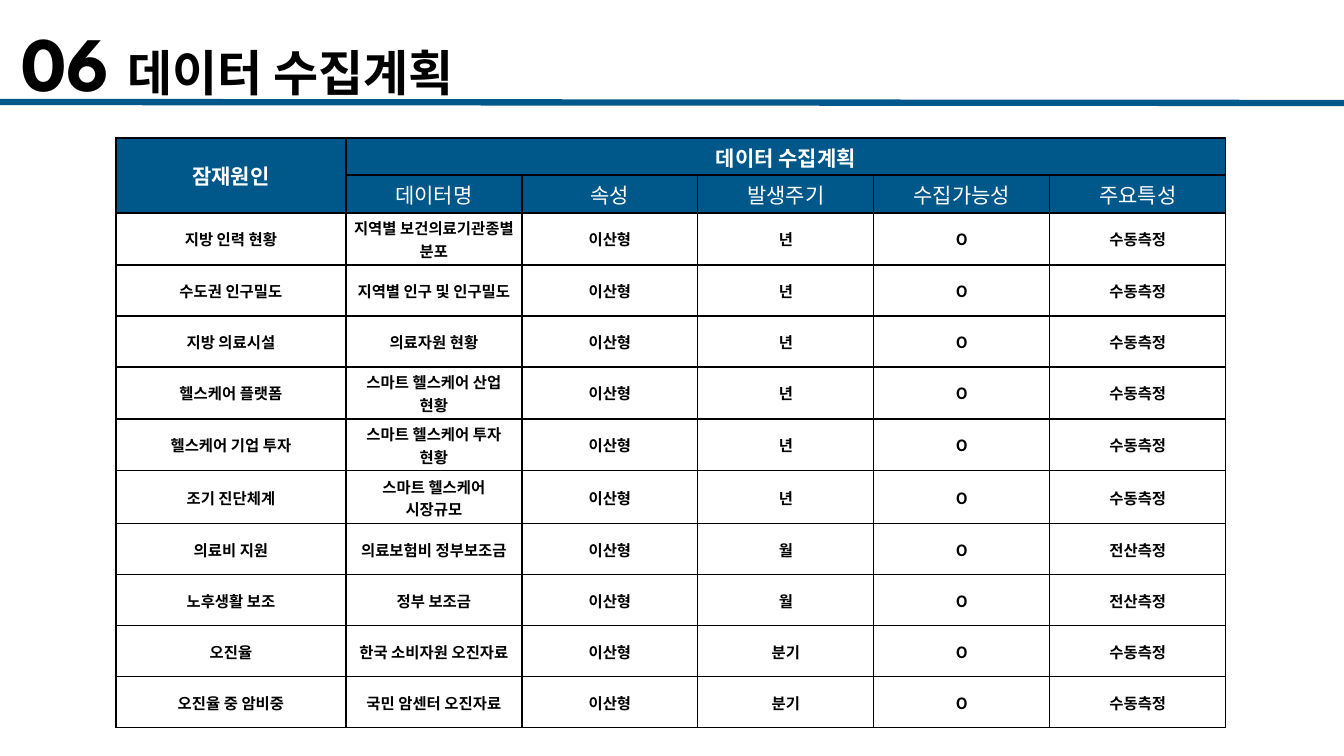
"""Build the data collection plan slide."""
from lxml.etree import SubElement
from pptx import Presentation
from pptx.dml.color import RGBColor
from pptx.enum.shapes import MSO_CONNECTOR
from pptx.enum.text import MSO_ANCHOR, PP_ALIGN
from pptx.oxml import parse_xml
from pptx.oxml.ns import nsdecls, qn
from pptx.util import Emu, Pt

EMU_PER_PX = 914400 / 100.8
BLUE = RGBColor(0x00, 0x58, 0x8A)
BLACK = RGBColor(0, 0, 0)
WHITE = RGBColor(0xFF, 0xFF, 0xFF)
LATIN_TITLE = "League Spartan"
KOREAN = "Noto Sans CJK KR"

COLUMN_WIDTHS = [230] + [176] * 5
ROW_HEIGHTS = [37, 38, 52, 51, 51, 52, 52, 53] + [51] * 4
HEADINGS = ["데이터명", "속성", "발생주기", "수집가능성", "주요특성"]
PLAN = [
    ("지방 인력 현황", "지역별 보건의료기관종별 분포", "년", "수동측정"),
    ("수도권 인구밀도", "지역별 인구 및 인구밀도", "년", "수동측정"),
    ("지방 의료시설", "의료자원 현황", "년", "수동측정"),
    ("헬스케어 플랫폼", "스마트 헬스케어 산업 현황", "년", "수동측정"),
    ("헬스케어 기업 투자", "스마트 헬스케어 투자 현황", "년", "수동측정"),
    ("조기 진단체계", "스마트 헬스케어 시장규모", "년", "수동측정"),
    ("의료비 지원", "의료보험비 정부보조금", "월", "전산측정"),
    ("노후생활 보조", "정부 보조금", "월", "전산측정"),
    ("오진율", "한국 소비자원 오진자료", "분기", "수동측정"),
    ("오진율 중 암비중", "국민 암센터 오진자료", "분기", "수동측정"),
]


def px(length):
    """Turn pixels into EMU."""
    return Emu(round(length * EMU_PER_PX))


def add_span(para, text, size=11, color=BLACK, bold=True, font=KOREAN):
    """Add a formatted run of text, without pair kerning, to a paragraph."""
    span = para.add_run()
    span.text = text
    span.font.size = Pt(size)
    span.font.bold = bold
    span.font.color.rgb = color
    span.font.name = font
    span.font._element.set("kern", "0")
    SubElement(span.font._element, qn("a:ea"), typeface=KOREAN)


def set_margins(target, side, end):
    """Set the text insets of a frame or a cell."""
    target.margin_left = target.margin_right = px(side)
    target.margin_top = target.margin_bottom = px(end)


def add_rule(page):
    """Draw the blue line under the title."""
    rule = page.shapes.add_connector(
        MSO_CONNECTOR.STRAIGHT, 0, px(102), px(1344), px(103))
    rule.line.color.rgb = BLUE
    rule.line.width = Pt(4.5)
    SubElement(rule._element.spPr, qn("a:effectLst"))


def add_title(page):
    """Add the section number and the title."""
    box = page.shapes.add_textbox(px(8), px(20), px(984), px(82))
    frame = box.text_frame
    frame.word_wrap = True
    frame.vertical_anchor = MSO_ANCHOR.MIDDLE
    set_margins(frame, 13, 7)
    para = frame.paragraphs[0]
    for text, size in (("06", 55), (" ", 46.7), ("데이터 수집계획", 35)):
        add_span(para, text, size=size, font=LATIN_TITLE)


def style_cell(cell, fill):
    """Give a cell its fill, insets and black borders."""
    cell.fill.solid()
    cell.fill.fore_color.rgb = fill
    cell.vertical_anchor = MSO_ANCHOR.MIDDLE
    set_margins(cell, 7, 4)
    properties = cell._tc.get_or_add_tcPr()
    for index, side in enumerate(("lnL", "lnR", "lnT", "lnB")):
        properties.insert(index, parse_xml(
            f'<a:{side} {nsdecls("a")} w="{Pt(1)}"><a:solidFill>'
            f'<a:srgbClr val="{BLACK}"/></a:solidFill></a:{side}>'))


def add_plan_table(page):
    """Add the collection plan with its two header rows."""
    rows = [["잠재원인", "데이터 수집계획"] + [""] * 4, [""] + HEADINGS]
    rows += [[cause, data, "이산형", cycle, "O", feature]
             for cause, data, cycle, feature in PLAN]
    table = page.shapes.add_table(
        len(rows), len(COLUMN_WIDTHS), px(116), px(138),
        px(sum(COLUMN_WIDTHS)), px(sum(ROW_HEIGHTS))).table
    table.first_row = table.horz_banding = False
    for column, width in zip(table.columns, COLUMN_WIDTHS):
        column.width = px(width)
    for row, height in zip(table.rows, ROW_HEIGHTS):
        row.height = px(height)
    table.cell(0, 0).merge(table.cell(1, 0))
    table.cell(0, 1).merge(table.cell(0, 5))
    for row_index, texts in enumerate(rows):
        header = row_index < 2
        for column_index, text in enumerate(texts):
            cell = table.cell(row_index, column_index)
            style_cell(cell, BLUE if header else WHITE)
            if text:
                para = cell.text_frame.paragraphs[0]
                para.alignment = PP_ALIGN.CENTER
                add_span(para, text, size=15 if header else 11,
                         color=WHITE if header else BLACK,
                         bold=row_index != 1)


def main():
    """Build and save the deck."""
    deck = Presentation()
    deck.slide_width, deck.slide_height = px(1344), px(756)
    page = deck.slides.add_slide(deck.slide_layouts[6])
    add_rule(page)
    add_title(page)
    add_plan_table(page)
    deck.save("out.pptx")


if __name__ == "__main__":
    main()
